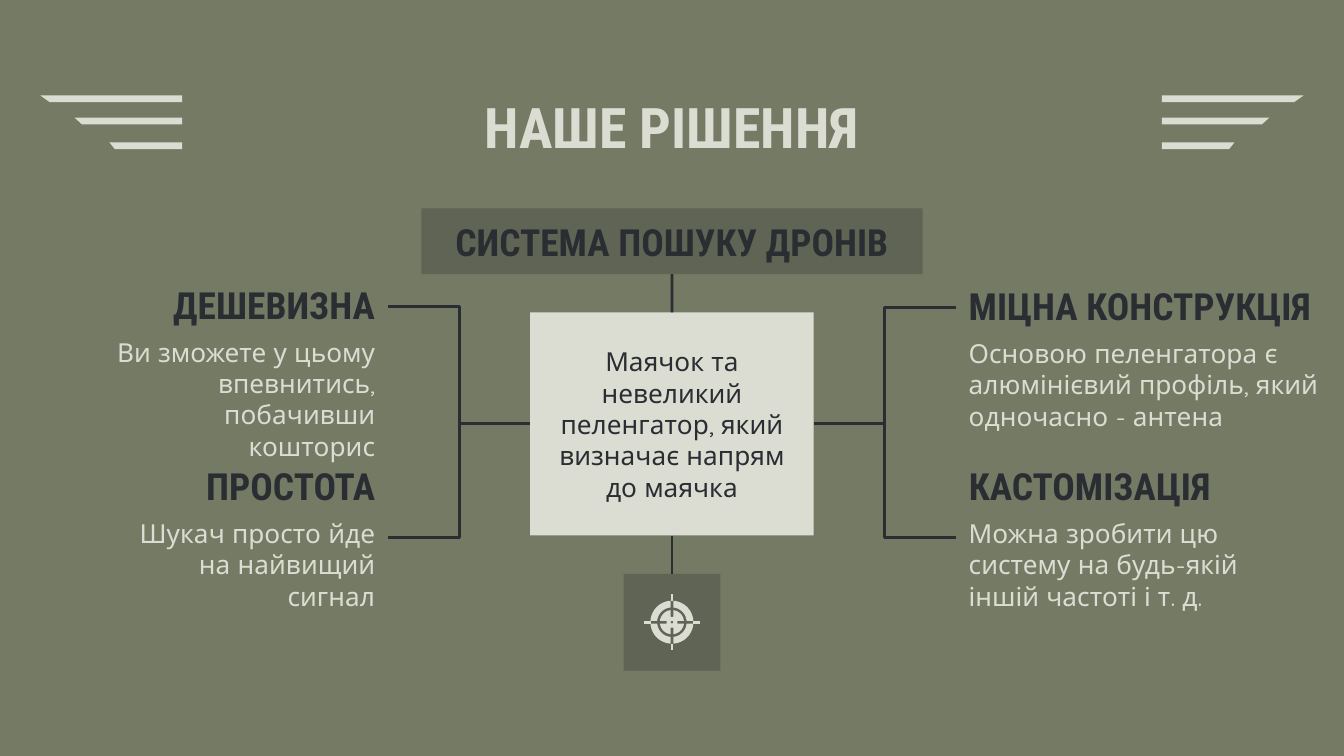
import math
from pptx import Presentation
from pptx import util as u
from pptx.dml import color
from pptx.enum import shapes, text
from pptx.oxml import ns
from lxml import etree

OLIVE, DARK, LIGHT, INK = "757A65", "5F6454", "DBDDD3", "2A2D32"
HEAD, BODY = "Roboto Condensed", "Quicksand"
LEFT, CENTER, RIGHT = text.PP_ALIGN.LEFT, text.PP_ALIGN.CENTER, text.PP_ALIGN.RIGHT
TOP, MIDDLE, BOTTOM = text.MSO_ANCHOR.TOP, text.MSO_ANCHOR.MIDDLE, text.MSO_ANCHOR.BOTTOM
rgb = color.RGBColor.from_string

prs = Presentation()
prs.slide_width, prs.slide_height = u.Inches(10), u.Inches(5.625)
col, row = prs.slide_width / 100, prs.slide_height / 56.25
s = prs.slides.add_slide(prs.slide_layouts[6])
s.background.fill.solid()
s.background.fill.fore_color.rgb = rgb(OLIVE)


def write(sp, words, font, size, hue, align, anchor):
    tf = sp.text_frame
    tf.word_wrap = True
    tf.vertical_anchor = anchor
    tf.margin_left = tf.margin_right = int(col)
    tf.margin_top = tf.margin_bottom = int(row)
    p = tf.paragraphs[0]
    p.text = words
    p.alignment = align
    p.font.name, p.font.size, p.font.bold = font, u.Pt(size), font == HEAD
    p.font.color.rgb = rgb(hue)


def outline(*contours):
    paths = [[(int(x * col), int(y * row)) for x, y in c] for c in contours]
    fb = s.shapes.build_freeform(*paths[0][0])
    fb.add_line_segments(paths[0][1:])
    for path in paths[1:]:
        fb.move_to(*path[0])
        fb.add_line_segments(path[1:])
    sp = fb.convert_to_shape()
    sp.shadow.inherit = False
    sp.fill.solid()
    sp.fill.fore_color.rgb = rgb(LIGHT)
    sp.line.fill.background()


blocks = [
    (7.8, 33.9, 21.1, "ПРОСТОТА", 7.8, 21.1, "Шукач просто йде на найвищий сигнал", RIGHT),
    (7.8, 20.4, 21.1, "ДЕШЕВИЗНА", 6.1, 22.8, "Ви зможете у цьому впевнитись, побачивши кошторис", RIGHT),
    (71.1, 33.9, 21.1, "КАСТОМІЗАЦІЯ", 71.1, 26.3, "Можна зробити цю систему на будь-якій іншій частоті і т. д.", LEFT),
    (71.1, 20.5, 28.3, "МІЦНА КОНСТРУКЦІЯ", 71.1, 28.3, "Основою пеленгатора є алюмінієвий профіль, який одночасно - антена", LEFT),
]
for x, y, w, head, body_x, body_w, body, align in blocks:
    sp = s.shapes.add_textbox(int(body_x * col), int((y + 3.6) * row), int(body_w * col), int(5.1 * row))
    write(sp, body, BODY, 14, LIGHT, align, TOP)
    sp = s.shapes.add_textbox(int(x * col), int(y * row), int(w * col), int(4.9 * row))
    write(sp, head, HEAD, 20, INK, align, BOTTOM)

rects = []
for y, w, h, fill in [(15.5, 37.3, 4.9, DARK), (23.25, 21.1, 16.6, LIGHT), (42.7, 7.2, 7.2, DARK)]:
    sp = s.shapes.add_shape(shapes.MSO_SHAPE.RECTANGLE, int((50 - w / 2) * col), int(y * row), int(w * col), int(h * row))
    sp.shadow.inherit = False
    sp.fill.solid()
    sp.fill.fore_color.rgb = rgb(fill)
    sp.line.fill.background()
    rects.append(sp)
banner, card, badge = rects
write(banner, "СИСТЕМА ПОШУКУ ДРОНІВ", HEAD, 20, INK, CENTER, MIDDLE)
write(card, "Маячок та невеликий пеленгатор, який визначає напрям до маячка", BODY, 14, INK, CENTER, MIDDLE)

links = []
for x, y, side in [(28.9, 22.8, 39.45), (28.9, 40, 39.45), (71.1, 22.9, 60.55), (71.1, 40, 60.55)]:
    links.append(s.shapes.add_connector(shapes.MSO_CONNECTOR.ELBOW, int(x * col), int(y * row), int(side * col), int(31.5 * row)))
for upper, lower in [(banner, card), (card, badge)]:
    link = s.shapes.add_connector(shapes.MSO_CONNECTOR.STRAIGHT, 0, 0, 0, 0)
    link.begin_connect(upper, 2)
    link.end_connect(lower, 0)
    links.append(link)
for link in links:
    link.line.color.rgb = rgb(INK)
    link.line.width = u.Pt(1.5)
    etree.SubElement(link._element.spPr, ns.qn("a:effectLst"))

cx, cy, gap = 50, 46.3, 0.1
disc = []
for quarter in range(4):
    cos, sin = [(1, 0), (0, 1), (-1, 0), (0, -1)][quarter]
    arcs = []
    for radius in (0.9, 1.1, 1.6):
        trim = math.asin(gap / radius)
        angles = [quarter * math.pi / 2 + trim + (math.pi / 2 - 2 * trim) * i / 12 for i in range(13)]
        arcs.append([(cx + radius * math.cos(a), cy + radius * math.sin(a)) for a in angles])
    inner, ring, rim = arcs
    outline(ring + rim[::-1])
    slot = [(0.4, -gap), (0.4, gap)]
    tick = [(1.6, -gap), (2.1, -gap), (2.1, gap), (1.6, gap)]
    disc += [(cx + a * cos - b * sin, cy + a * sin + b * cos) for a, b in slot] + inner
    outline([(cx + a * cos - b * sin, cy + a * sin + b * cos) for a, b in tick])
dot = [(cx + gap * math.cos(i * math.pi / 6), cy + gap * math.sin(i * math.pi / 6)) for i in range(12)]
outline(disc, dot)

for sign in (-1, 1):
    for y, length, slant in [(7.1, 10.55, 0.7), (8.75, 8, 0.55), (10.6, 5.4, 0.4)]:
        stripe = [(36.45, y), (36.45 + length, y), (36.45 + length - slant, y + 0.5), (36.45, y + 0.5)]
        outline([(50 + sign * x, v) for x, v in stripe])

title = s.shapes.add_textbox(int(2 * col), int(5.9 * row), int(96 * col), int(6.4 * row))
write(title, "НАШЕ РІШЕННЯ", HEAD, 30, LIGHT, CENTER, TOP)

prs.save("out.pptx")
